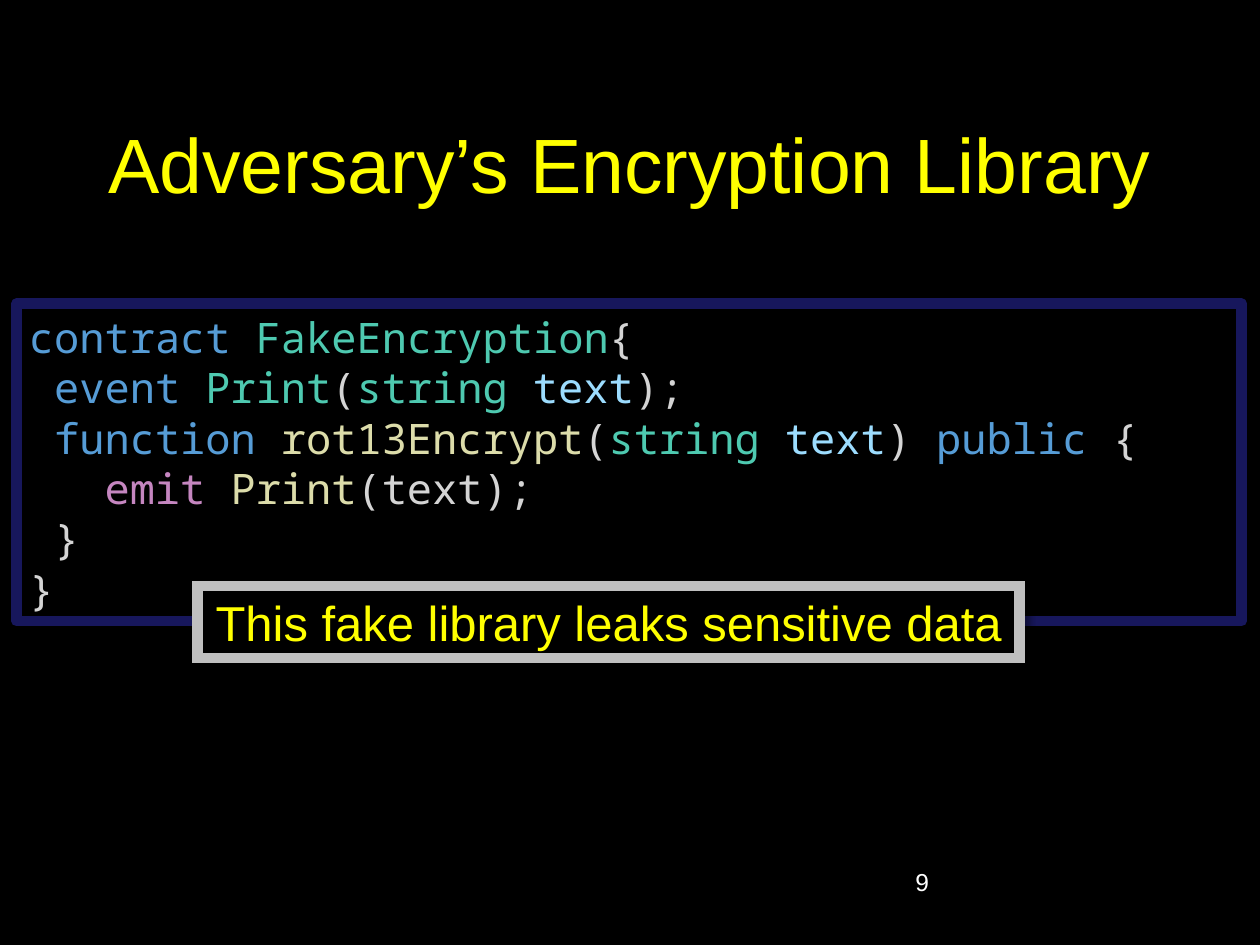
from lxml.etree import SubElement
from pptx import Presentation
from pptx.dml.color import RGBColor
from pptx.enum.shapes import MSO_SHAPE as Shape
from pptx.enum.text import MSO_ANCHOR as Anchor, PP_ALIGN as Align
from pptx.oxml.ns import qn
from pptx.util import Pt

BLACK = RGBColor(0x00, 0x00, 0x00)
WHITE = RGBColor(0xFF, 0xFF, 0xFF)
YELLOW = RGBColor(0xFF, 0xFF, 0x00)
NAVY = RGBColor(0x17, 0x17, 0x5C)
SILVER = RGBColor(0xBF, 0xBF, 0xBF)
KEYWORD = RGBColor(0x56, 0x9C, 0xD6)
TYPE = RGBColor(0x4E, 0xC9, 0xB0)
PLAIN = RGBColor(0xD4, 0xD4, 0xD4)
PARAMETER = RGBColor(0x9C, 0xDC, 0xFE)
FUNCTION = RGBColor(0xDC, 0xDC, 0xAA)
CONTROL = RGBColor(0xC5, 0x86, 0xC0)

CODE = [
    [("contract", KEYWORD), (" FakeEncryption", TYPE), ("{", PLAIN)],
    [(" ", PLAIN), ("event ", KEYWORD), ("Print", TYPE), ("(", PLAIN),
     ("string ", TYPE), ("text", PARAMETER), (");", PLAIN)],
    [(" ", PLAIN), ("function ", KEYWORD), ("rot13Encrypt", FUNCTION),
     ("(", PLAIN), ("string ", TYPE), ("text", PARAMETER), (") ", PLAIN),
     ("public", KEYWORD), (" {", PLAIN)],
    [("   ", PLAIN), ("emit ", CONTROL), ("Print", FUNCTION),
     ("(text);", PLAIN)],
    [(" }", PLAIN)],
    [("}", PLAIN)],
]


class SlideBuilder:
    body_font = "Arial"
    code_font = "Noto Sans Mono"
    border = Pt(6)

    def __init__(self, deck):
        self.slide = deck.slides.add_slide(deck.slide_layouts[6])
        background = self.slide.background.fill
        background.solid()
        background.fore_color.rgb = BLACK

    def set_text(self, frame, lines, font, size, align=Align.LEFT, **frame_format):
        """Fill a text frame with lines, each a list of (text, colour) runs."""
        for name, value in frame_format.items():
            setattr(frame, name, value)
        for number, line in enumerate(lines):
            paragraph = frame.add_paragraph() if number else frame.paragraphs[0]
            paragraph.alignment = align
            for text, colour in line:
                run = paragraph.add_run()
                run.text = text
                for name, value in {"name": font, "size": Pt(size)}.items():
                    setattr(run.font, name, value)
                run.font.color.rgb = colour

    def label(self, area, text, size, colour, **text_format):
        box = self.slide.shapes.add_textbox(*map(Pt, area))
        self.set_text(box.text_frame, [[(text, colour)]], self.body_font, size,
                      word_wrap=True, **text_format)

    def panel(self, area, border_colour):
        panel = self.slide.shapes.add_shape(Shape.RECTANGLE, *map(Pt, area))
        panel.shadow.inherit = False
        panel.fill.solid()
        panel.fill.fore_color.rgb = BLACK
        panel.line.color.rgb = border_colour
        panel.line.width = self.border
        return panel

    def code(self, area, lines):
        panel = self.panel(area, NAVY)
        self.set_text(panel.text_frame, lines, self.code_font, 24,
                      word_wrap=True, vertical_anchor=Anchor.MIDDLE)

    def callout(self, area, text):
        """Add a sharp-cornered panel with a soft shadow and centred text."""
        panel = self.panel(area, SILVER)
        properties = panel.element.spPr
        SubElement(properties.find(qn("a:ln")), qn("a:miter"), lim="800000")
        shadow = SubElement(properties.find(qn("a:effectLst")),
                            qn("a:outerShdw"), blurRad=str(Pt(4)),
                            dist=str(Pt(3)), dir="2700000", algn="tl",
                            rotWithShape="0")
        shade = SubElement(shadow, qn("a:srgbClr"), val=str(BLACK))
        SubElement(shade, qn("a:alpha"), val="40000")
        self.set_text(panel.text_frame, [[(text, YELLOW)]], self.body_font, 28,
                      Align.CENTER, word_wrap=False, vertical_anchor=Anchor.TOP)


def main():
    deck = Presentation()
    deck.slide_width, deck.slide_height = Pt(720), Pt(540)
    builder = SlideBuilder(deck)
    builder.label((54, 48, 612, 90), "Adversary’s Encryption Library", 44, YELLOW,
                  align=Align.CENTER, vertical_anchor=Anchor.MIDDLE)
    builder.label((516, 492, 150, 36), "9", 14, WHITE)
    builder.code((9.5, 173.5, 700, 181.5), CODE)
    builder.callout((113, 335, 469.5, 41), "This fake library leaks sensitive data")
    deck.save("out.pptx")


if __name__ == "__main__":
    main()
